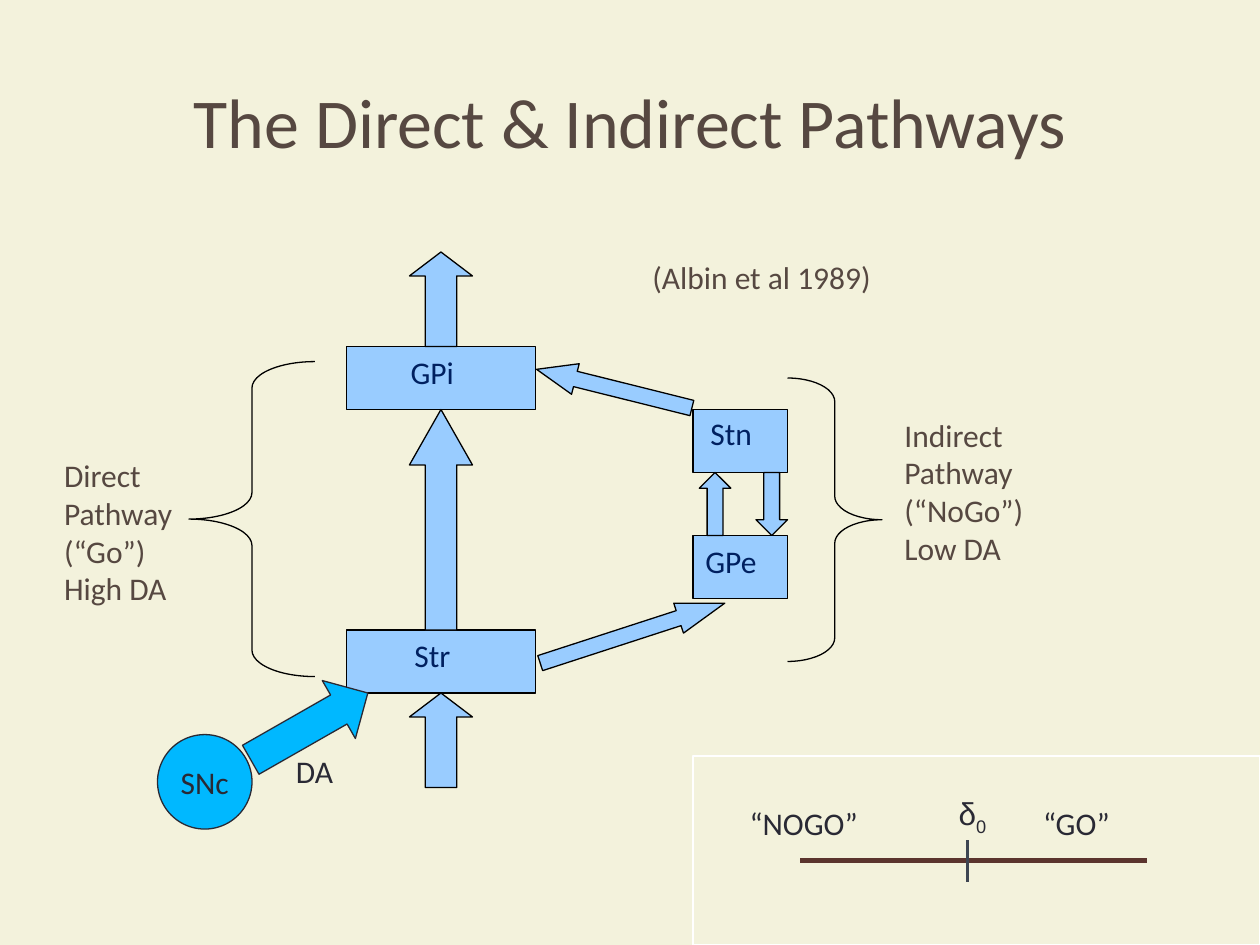
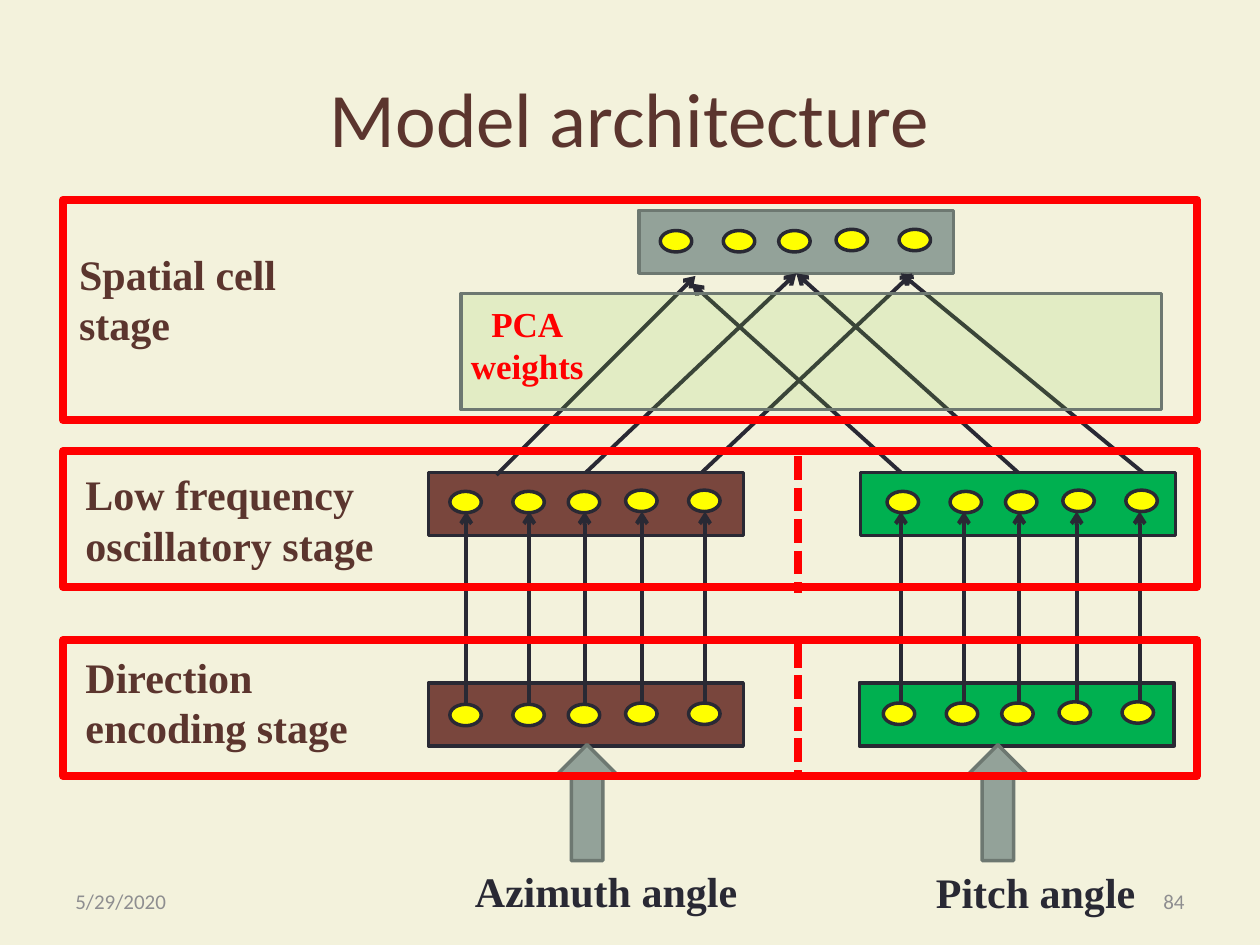
"""Build two slides: basal ganglia pathways and a staged spatial cell model."""
import lxml.etree
import pptx
import pptx.dml.color
import pptx.enum.dml
import pptx.enum.shapes
import pptx.enum.text
import pptx.oxml.ns
import pptx.util

SHAPE = pptx.enum.shapes.MSO_SHAPE
STRAIGHT = pptx.enum.shapes.MSO_CONNECTOR.STRAIGHT
ALIGN = pptx.enum.text.PP_ALIGN
ANCHOR = pptx.enum.text.MSO_ANCHOR
COLUMNS, ROWS = 20, 15
CELL = pptx.util.Inches(0.5)

THEME = {
    "colors": {
        "page": "F3F2DC", "taupe": "564841", "brown": "5B352E", "navy": "002060",
        "ink": "292934", "muted": "8E8E90", "black": "000000", "white": "FFFFFF",
        "sky": "99CCFF", "azure": "00B8FF", "slate": "3E4652", "red": "FF0000",
        "yellow": "FFFF00", "green": "00B050", "rust": "79463D", "lime": "92D050",
        "sage": "93A299", "moss": "6D7871",
    },
    "type": {
        "title": {"name": "Calibri", "size": pptx.util.Pt(40)},
        "large title": {"name": "Calibri", "size": pptx.util.Pt(44)},
        "body": {"name": "Calibri", "size": pptx.util.Pt(18)},
        "symbol": {"name": "Arial", "size": pptx.util.Pt(18)},
        "footer": {"name": "Calibri", "size": pptx.util.Pt(12)},
        "stage": {"name": "Times New Roman", "size": pptx.util.Pt(24), "bold": True},
        "weights": {"name": "Times New Roman", "size": pptx.util.Pt(20), "bold": True},
    },
}
COLORS = {name: pptx.dml.color.RGBColor.from_string(code)
          for name, code in THEME["colors"].items()}


def draw(page, kind, place, line, weight, fill=None, turn=0, adjust=(), tail=False):
    corners = [round(CELL * cells) for cells in place]
    if kind is STRAIGHT:
        item = page.shapes.add_connector(kind, *corners)
    else:
        item = page.shapes.add_shape(kind, *corners)
        item.shadow.inherit = False
        item.rotation = turn
        for index, share in enumerate(adjust):
            item.adjustments[index] = share
        if fill:
            item.fill.solid()
            item.fill.fore_color.rgb = COLORS[fill]
        else:
            item.fill.background()
    item.line.color.rgb = COLORS[line]
    item.line.width = pptx.util.Pt(weight)
    if tail:
        lxml.etree.SubElement(item.line._get_or_add_ln(), pptx.oxml.ns.qn("a:tailEnd"), type="arrow")
    if kind is STRAIGHT:
        lxml.etree.SubElement(item._element.spPr, pptx.oxml.ns.qn("a:effectLst"))
    return item


def write(page, text, place, style, color, align=ALIGN.LEFT, anchor=ANCHOR.TOP, box=None):
    box = box or page.shapes.add_textbox(*[round(CELL * cells) for cells in place])
    frame = box.text_frame
    frame.word_wrap = True
    frame.vertical_anchor = anchor
    for index, words in enumerate(text.split("\n")):
        para = frame.paragraphs[0] if index == 0 else frame.add_paragraph()
        para.alignment = align
        span = para.add_run()
        span.text = words
        for name, value in THEME["type"][style].items():
            setattr(span.font, name, value)
        span.font.color.rgb = COLORS[color]
    return box


deck = pptx.Presentation()
deck.slide_width, deck.slide_height = CELL * COLUMNS, CELL * ROWS
pages = []
for title, place, style, color in (
    ("The Direct & Indirect Pathways", (1.5, 0.66, 17, 2.5), "title", "taupe"),
    ("Model architecture", (1, 0.6, 18, 2.5), "large title", "brown"),
):
    page = deck.slides.add_slide(deck.slide_layouts[6])
    page.background.fill.solid()
    page.background.fill.fore_color.rgb = COLORS["page"]
    write(page, title, place, style, color, ALIGN.CENTER, ANCHOR.MIDDLE)
    pages.append(page)
pathways, model = pages

for nucleus in ((5.5, 10, 3, 1), (5.5, 5.5, 3, 1), (11, 8.5, 1.5, 1), (11, 6.5, 1.5, 1)):
    draw(pathways, SHAPE.RECTANGLE, nucleus, "black", 0.75, "sky")

for kind, place, turn, head in (
    (SHAPE.LEFT_ARROW, (8.48, 5.92, 2.54, 0.5), 14, 1.27),
    (SHAPE.RIGHT_ARROW, (8.5, 9.8, 3.08, 0.5), 342, 1.54),
    (SHAPE.UP_ARROW, (11.1, 7.5, 0.5, 1), 0, 0.5),
    (SHAPE.DOWN_ARROW, (12, 7.5, 0.5, 1), 0, 0.5),
    (SHAPE.UP_ARROW, (6.5, 6.5, 1, 3.5), 0, 0.88),
    (SHAPE.UP_ARROW, (6.5, 11, 1, 1.5), 0, 0.38),
    (SHAPE.UP_ARROW, (6.5, 4, 1, 1.5), 0, 0.38),
):
    draw(pathways, kind, place, "black", 0.75, "sky", turn, (0.5, head))

draw(pathways, SHAPE.LEFT_BRACE, (3, 5.74, 2, 5), "black", 0.75, adjust=(0.21, 0.5))
draw(pathways, SHAPE.RIGHT_BRACE, (12.5, 6, 1.5, 4.5), "black", 0.75, adjust=(0.25, 0.5))
draw(pathways, STRAIGHT, (12.7, 13.66, 18.2, 13.66), "brown", 3)
draw(pathways, STRAIGHT, (15.36, 13.34, 15.36, 14), "slate", 1.5)
draw(pathways, SHAPE.RECTANGLE, (11, 12, 9, 3), "white", 1.5)
dopamine_source = draw(pathways, SHAPE.OVAL, (2.5, 11.66, 1.5, 1.5), "ink", 0.75, "azure")
for side in ("left", "right"):
    setattr(dopamine_source.text_frame, f"margin_{side}", 0)
write(pathways, "SNc", None, "body", "ink", ALIGN.CENTER, ANCHOR.MIDDLE, dopamine_source)
draw(pathways, SHAPE.RIGHT_ARROW, (3.84, 11, 2.14, 1.06), "ink", 0.75, "azure", 330.3, (0.5, 0.5))

for text, place, color in (
    ("Direct\nPathway\n(“Go”)\nHigh DA", (0.82, 7.14, 2.7, 2.6), "taupe"),
    ("Indirect\nPathway\n(“NoGo”)\nLow DA", (14.16, 6.5, 3.06, 2.6), "taupe"),
    ("(Albin et al 1989)", (10.16, 4, 5.16, 1), "taupe"),
    ("Str", (6.38, 10, 1.18, 1.5), "navy"),
    ("GPi", (6.32, 5.5, 1.44, 1.5), "navy"),
    ("Stn", (11.08, 6.48, 1.28, 1.5), "navy"),
    ("GPe", (11, 8.5, 1.64, 1), "navy"),
    ("“GO”", (16.36, 12.66, 1.98, 1.02), "ink"),
    ("“NOGO”", (11.7, 12.66, 2.96, 1.02), "ink"),
    ("DA", (4.5, 11.84, 1.38, 1.02), "ink"),
):
    write(pathways, text, place, "body", color)

threshold = write(pathways, "δ", (15.02, 12.5, 0.96, 1.02), "symbol", "ink")
span = threshold.text_frame.paragraphs[0].add_run()
span.text = "0"
for name, value in THEME["type"]["symbol"].items():
    setattr(span.font, name, value)
span.font.color.rgb = COLORS["ink"]
span._r.get_or_add_rPr().set("baseline", "-25000")

for text, left, align in (("5/29/2020", 1, ALIGN.LEFT), ("84", 14.34, ALIGN.RIGHT)):
    write(model, text, (left, 13.9, 4.66, 0.8), "footer", "muted", align, ANCHOR.MIDDLE)

CELL_STEPS = (0, 1, 1.88, 2.79, 3.79)
CELL_RISES = (0, 0, 0, 0.02, 0.02)
banks = {}
for name, left, top, fill, line, first_x, first_y in (
    ("spatial", 10.14, 3.34, "sage", "moss", 10.73, 3.83),
    ("pitch oscillators", 13.66, 7.5, "green", "ink", 14.33, 7.97),
    ("pitch directions", 13.64, 10.84, "green", "ink", 14.27, 11.33),
    ("azimuth directions", 6.8, 10.84, "rust", "ink", 7.39, 11.35),
    ("azimuth oscillators", 6.8, 7.5, "rust", "ink", 7.39, 7.97),
):
    banks[name] = draw(model, SHAPE.RECTANGLE, (left, top, 5, 1), line, 2, fill)
    for step, rise in zip(CELL_STEPS, CELL_RISES):
        place = (first_x + step - 0.25, first_y - rise - 0.17, 0.5, 0.34)
        draw(model, SHAPE.OVAL, place, "ink", 2, "yellow")

for first_x in (7.4, 14.3):
    for step in CELL_STEPS:
        draw(model, STRAIGHT, (first_x + step, 11.16, first_x + step, 8.12), "ink", 2.25, tail=True)

for ends in (
    (7.88, 7.54, 11.04, 4.38),
    (18.14, 7.5, 14.3, 4.34),
    (11.14, 7.5, 14.48, 4.34),
    (14.3, 7.5, 10.98, 4.5),
):
    draw(model, STRAIGHT, ends, "ink", 2.25, tail=True)
for name, start in (("azimuth oscillators", 9.3), ("pitch oscillators", 16.16)):
    projection = draw(model, STRAIGHT, (start, 7.5, 12.64, 4.34), "ink", 2.25, tail=True)
    projection.begin_connect(banks[name], 0)
    projection.end_connect(banks["spatial"], 2)

weights = draw(model, SHAPE.RECTANGLE, (7.32, 4.66, 11.12, 1.84), "moss", 2, "lime")
tint = weights._element.spPr.find(".//" + pptx.oxml.ns.qn("a:srgbClr"))
lxml.etree.SubElement(tint, pptx.oxml.ns.qn("a:alpha"), val="17000")
write(model, "PCA\nweights", (6.6, 4.7, 3.54, 2.22), "weights", "red", ALIGN.CENTER)

for left in (8.82, 15.34):
    draw(model, SHAPE.UP_ARROW, (left, 11.82, 1, 1.84), "moss", 2, "sage")
for top, height in ((10.16, 2.16), (7.16, 2.16), (3.17, 3.5)):
    draw(model, SHAPE.RECTANGLE, (1, top, 18, height), "red", 4.5)

for text, place, color in (
    ("Azimuth angle", (7.34, 13.64, 5.34, 1), "ink"),
    ("Pitch angle", (14.66, 13.66, 4.16, 1), "ink"),
    ("Direction encoding stage", (1.16, 10.24, 5.34, 1.82), "brown"),
    ("Low frequency oscillatory stage", (1.16, 7.34, 5.34, 1.82), "brown"),
    ("Spatial cell\nstage", (1.06, 3.84, 7.28, 1.82), "brown"),
):
    write(model, text, place, "stage", color)

for top, bottom in ((10.22, 12.38), (7.24, 9.42)):
    divider = draw(model, STRAIGHT, (12.66, top, 12.66, bottom), "red", 4.5)
    divider.line.dash_style = pptx.enum.dml.MSO_LINE.SQUARE_DOT

deck.save("out.pptx")
